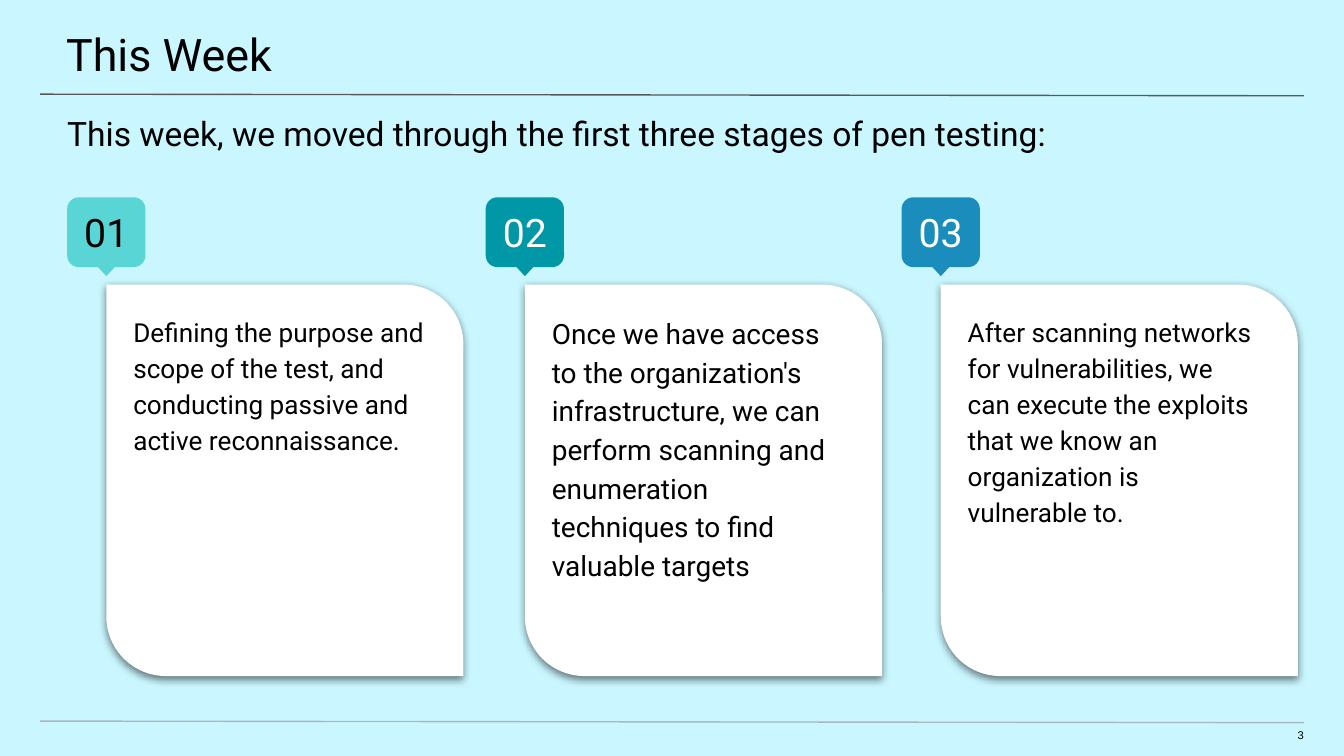
from lxml import etree
from pptx import Presentation
from pptx import util as u
from pptx.dml.color import RGBColor
from pptx.enum import shapes, text
from pptx.oxml.ns import qn

COLORS = {
    "background": "CAF7FF", "ink": "000000", "white": "FFFFFF",
    "header_rule": "595959", "footer_rule": "A9B7C0",
    "mint": "59D5D5", "teal": "0097A7", "blue": "1B8DBC",
}
SHAPE = shapes.MSO_SHAPE
ALIGN = text.PP_ALIGN


def rgb(name):
    return RGBColor.from_string(COLORS[name])


class SlideBuilder:
    font = "Roboto"

    def __init__(self, slide):
        self.slide = slide
        slide.background.fill.solid()
        slide.background.fill.fore_color.rgb = rgb("background")

    def set_text(self, shape, words, size, color="ink", font=None, align=ALIGN.LEFT,
                 anchor=text.MSO_ANCHOR.TOP, insets=(0, 0, 0, 0), spacing=1.0):
        left, top, right, bottom = map(u.Cm, insets)
        frame_format = {
            "word_wrap": True, "vertical_anchor": anchor,
            "margin_left": left, "margin_top": top,
            "margin_right": right, "margin_bottom": bottom,
        }
        for key, value in frame_format.items():
            setattr(shape.text_frame, key, value)
        paragraph = shape.text_frame.paragraphs[0]
        paragraph.alignment, paragraph.line_spacing = align, spacing
        run = paragraph.add_run()
        run.text = words
        for key, value in {"name": font or self.font, "size": u.Pt(size)}.items():
            setattr(run.font, key, value)
        run.font.color.rgb = rgb(color)

    def textbox(self, box, words, size, **style):
        self.set_text(self.slide.shapes.add_textbox(*map(u.Cm, box)), words, size, **style)

    def shape(self, kind, box, fill, adjustments=(), parent=None):
        shape = (parent or self.slide).shapes.add_shape(kind, *map(u.Cm, box))
        shape.shadow.inherit = False
        shape.fill.solid()
        shape.fill.fore_color.rgb = rgb(fill)
        shape.line.fill.background()
        for index, value in enumerate(adjustments):
            shape.adjustments[index] = value
        return shape

    def rule(self, start, end, color):
        line = self.slide.shapes.add_connector(
            shapes.MSO_CONNECTOR.STRAIGHT, *map(u.Cm, start + end))
        line.line.color.rgb = rgb(color)
        line.line.width = u.Pt(0.75)
        etree.SubElement(line._element.spPr, qn("a:effectLst"))

    def card(self, box):
        card = self.shape(SHAPE.ROUND_2_DIAG_RECTANGLE, box, "white", (0, 0.167))
        effects = card._element.spPr.find(qn("a:effectLst"))
        shadow = etree.SubElement(
            effects, qn("a:outerShdw"), blurRad=str(u.Pt(4.5)), dist=str(u.Pt(1.5)),
            dir="5400000", algn="bl", rotWithShape="0")
        tint = etree.SubElement(shadow, qn("a:srgbClr"), val=COLORS["ink"])
        etree.SubElement(tint, qn("a:alpha"), val="50000")

    def badge(self, center, number, fill, color):
        group = self.slide.shapes.add_group_shape()
        label = self.shape(SHAPE.ROUNDED_RECTANGLE, (center - 0.74, 3.73, 1.48, 1.32),
                           fill, (0.167,), group)
        self.set_text(label, number, 21, color, align=ALIGN.CENTER,
                      anchor=text.MSO_ANCHOR.MIDDLE, insets=(0.25,) * 4)
        tip = self.shape(SHAPE.FLOWCHART_EXTRACT, (center - 0.37, 4.82, 0.74, 0.4),
                         fill, parent=group)
        tip.rotation = 180


STAGES = [
    # left edge, badge fill, badge text colour, text size, text
    (2.01, "mint", "ink", 14, "Defining the purpose and scope of the test, and "
     "conducting passive and active reconnaissance."),
    (9.92, "teal", "white", 15, "Once we have access to the organization's "
     "infrastructure, we can perform scanning and enumeration techniques to find "
     "valuable targets"),
    (17.78, "blue", "white", 14, "After scanning networks for vulnerabilities, we can "
     "execute the exploits that we know an organization is vulnerable to."),
]


def main():
    deck = Presentation()
    deck.slide_width, deck.slide_height = u.Cm(25.4), u.Cm(14.29)
    page = SlideBuilder(deck.slides.add_slide(deck.slide_layouts[6]))

    # Header and footer rules
    page.rule((0.76, 1.78), (24.64, 1.81), "header_rule")
    page.rule((0.76, 13.63), (24.64, 13.66), "footer_rule")

    # Title and introduction
    page.textbox((0, 0, 25.4, 1.47), "This Week", 24, insets=(1.25, 0.51, 0.76, 0.25))
    page.textbox((0, 1.88, 25.4, 1.02),
                 "This week, we moved through the first three stages of pen testing:",
                 18, insets=(1.27, 0.25, 1.27, 0))

    # Stage cards with numbered badges
    for number, (left, fill, color, size, words) in enumerate(STAGES, 1):
        page.card((left, 5.38, 6.75, 7.4))
        page.textbox((left, 5.38, 6.58, 7.04), words, size,
                     insets=(0.51,) * 4, spacing=1.15)
        page.badge(left, f"{number:02d}", fill, color)

    # Page number
    page.textbox((23.9, 13.77, 0.74, 0.3), "3", 6, font="Arial",
                 align=ALIGN.RIGHT, insets=(0, 0, 0, 0.25))

    deck.save("out.pptx")


if __name__ == "__main__":
    main()
